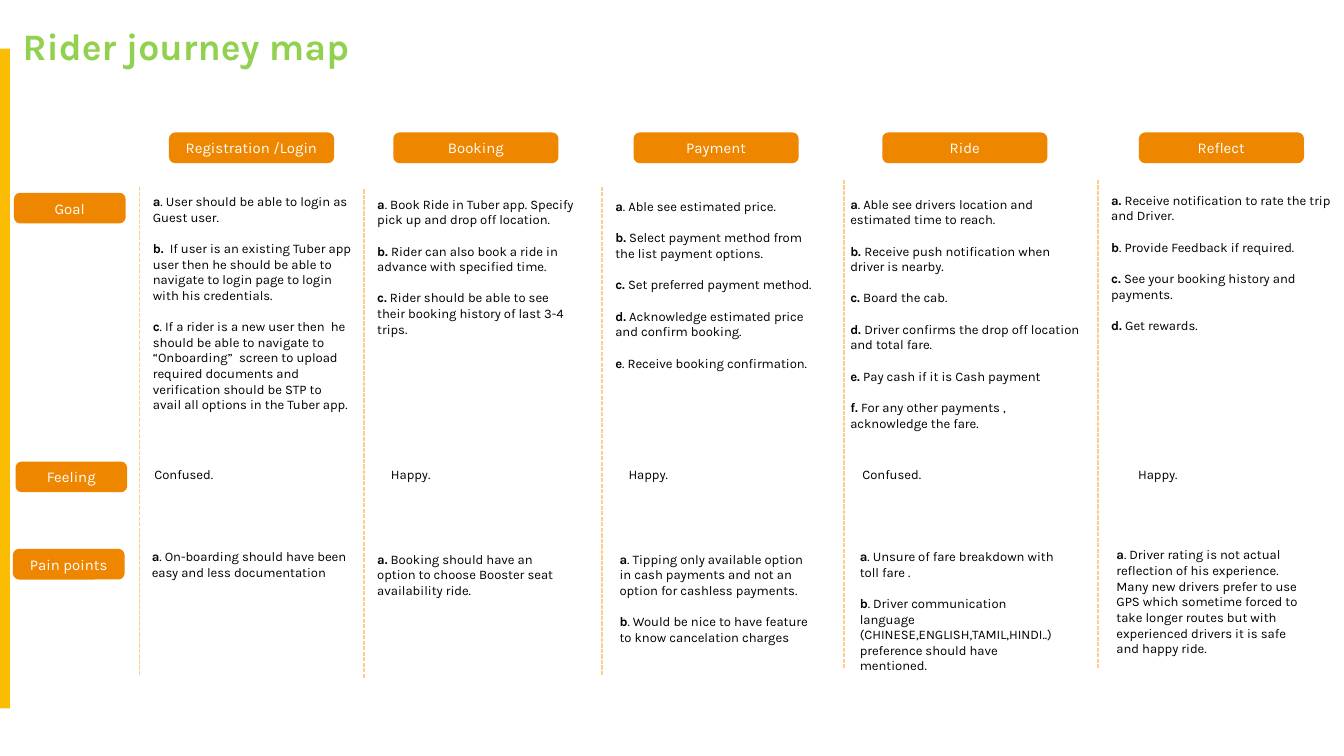
"""Build the rider journey map slide."""
from lxml import etree
from pptx import Presentation
from pptx.dml.color import RGBColor
from pptx.enum.dml import MSO_LINE
from pptx.enum.shapes import MSO_CONNECTOR, MSO_SHAPE
from pptx.enum.text import MSO_ANCHOR, MSO_AUTO_SIZE, PP_ALIGN
from pptx.oxml.ns import qn
from pptx.util import Cm, Pt

RECTANGLE = MSO_SHAPE.RECTANGLE
ROUNDED = MSO_SHAPE.ROUNDED_RECTANGLE
STRAIGHT = MSO_CONNECTOR.STRAIGHT
DASHED = MSO_LINE.SQUARE_DOT
MIDDLE = MSO_ANCHOR.MIDDLE
CENTER = PP_ALIGN.CENTER
GROW = MSO_AUTO_SIZE.SHAPE_TO_FIT_TEXT

WHITE = RGBColor(0xFF, 0xFF, 0xFF)
BLACK = RGBColor(0x00, 0x00, 0x00)
GREEN = RGBColor(0x92, 0xD0, 0x50)
YELLOW = RGBColor(0xFB, 0xBC, 0x04)
ORANGE = RGBColor(0xEF, 0x86, 0x00)
PEACH = RGBColor(0xFF, 0xCD, 0x8C)

STAGES = [
    ("Registration /Login", 3.23),
    ("Booking", 7.47),
    ("Payment", 12.01),
    ("Ride", 16.71),
    ("Reflect", 21.56),
]
ASPECTS = [("Goal", 0.3, 3.68), ("Feeling", 0.33, 8.76), ("Pain points", 0.28, 10.41)]
DIVIDERS = [(2.64, 3.53), (6.88, 3.58), (11.38, 3.53), (15.95, 3.4), (20.75, 3.4)]

GOALS = [
    ((2.64, 3.53, 4.25, 4.75), [
        "a|. User should be able to login as Guest user.",
        "b.|  If user is an existing Tuber app user then he should be able to "
        "navigate to login page to login with his credentials.",
        "c|. If a rider is a new user then  he should be able to navigate to "
        "“Onboarding”  screen to upload required documents and verification "
        "should be STP to avail all options in the Tuber app.",
    ]),
    ((6.88, 3.58, 4.22, 2.64), [
        "a|. Book Ride in Tuber app. Specify pick up and drop off location.",
        "b.| Rider can also book a ride in advance with specified time.",
        "c.| Rider should be able to see their booking history of last 3-4 trips.",
    ]),
    ((11.38, 3.63, 4.32, 3.56), [
        "a|. Able see estimated price.",
        "b.| Select payment method from the list payment options.",
        "c.| Set preferred payment method.",
        "d.| Acknowledge estimated price and confirm booking.",
        "e|. Receive booking confirmation.",
    ]),
    ((15.82, 3.58, 4.83, 5.05), [
        "a|. Able see drivers location and estimated time to reach.",
        "b. |Receive push notification when driver is nearby.",
        "c. |Board the cab.",
        "d. |Driver confirms the drop off location and total fare.",
        "e. |Pay cash if it is Cash payment",
        "f. |For any other payments , acknowledge the fare.",
    ]),
    ((20.75, 3.51, 4.7, 2.95), [
        "a.| Receive notification to rate the trip and Driver.",
        "b|. Provide Feedback if required.",
        "c. |See your booking history and payments.",
        "d. |Get rewards.",
    ]),
]
FEELINGS = [
    ((2.67, 8.69, 4.19, 0.56), ["Confused."]),
    ((7.14, 8.69, 4.19, 0.56), ["Happy."]),
    ((11.63, 8.69, 4.19, 0.56), ["Happy."]),
    ((16.05, 8.69, 4.19, 0.56), ["Confused."]),
    ((21.26, 8.69, 4.14, 0.56), ["Happy."]),
]
PAIN_POINTS = [
    ((2.62, 10.24, 4.19, 0.86), [
        "a|. On-boarding should have been easy and less documentation",
    ]),
    ((6.88, 10.29, 4.19, 2.06), [
        "a.| Booking should have an option to choose Booster seat availability ride.",
    ]),
    ((11.46, 10.29, 4.19, 2.06), [
        "a|. Tipping only available option in cash payments and not an option "
        "for cashless payments.",
        "b|. Would be nice to have feature to know cancelation charges",
    ]),
    ((16, 10.24, 4.19, 2.64), [
        "a|. Unsure of fare breakdown with toll fare .",
        "b|. Driver communication language (CHINESE,ENGLISH,TAMIL,HINDI..)",
        "preference should have mentioned.",
    ]),
    ((20.85, 10.21, 4.19, 2.06), [
        "a|. Driver rating is not actual reflection of his experience. Many new "
        "drivers prefer to use GPS which sometime forced to take longer routes "
        "but with experienced drivers it is safe and happy ride.",
    ]),
]


class JourneyMap:
    """Hold the style and the current slide."""

    font = "Karla"
    title_size, label_size, note_size = Pt(20), Pt(8), Pt(7)
    item_gap = Pt(8.4)

    def __init__(self, slide):
        self.shapes = slide.shapes
        background = slide.background.fill
        background.solid()
        background.fore_color.rgb = WHITE

    def style(self, run, size, color, bold=False):
        run.font.name = self.font
        run.font.size = size
        run.font.bold = bold
        run.font.color.rgb = color

    def block(self, kind, left, top, width, height, color):
        block = self.shapes.add_shape(kind, Cm(left), Cm(top), Cm(width), Cm(height))
        block.shadow.inherit = False
        block.fill.solid()
        block.fill.fore_color.rgb = color
        block.line.fill.background()
        return block

    def label(self, text, left, top, width):
        label = self.block(ROUNDED, left, top, width, 0.51, ORANGE)
        label.line.color.rgb = ORANGE
        label.line.width = Pt(2)
        frame = label.text_frame
        frame.text = text
        frame.vertical_anchor = MIDDLE
        frame.paragraphs[0].alignment = CENTER
        self.style(frame.paragraphs[0].runs[0], self.label_size, WHITE)

    def text_frame(self, left, top, width, height):
        box = self.shapes.add_textbox(Cm(left), Cm(top), Cm(width), Cm(height))
        box.text_frame.word_wrap = True
        box.text_frame.auto_size = GROW
        return box.text_frame

    def title(self, text):
        frame = self.text_frame(0.43, 0.18, 8.13, 1.37)
        frame.margin_left = 0
        frame.margin_top = frame.margin_bottom = Cm(0.25)
        frame.text = text
        self.style(frame.paragraphs[0].runs[0], self.title_size, GREEN, True)

    def notes(self, bounds, items):
        frame = self.text_frame(*bounds)
        frame.text = "\n".join(item.partition("|")[0] for item in items)
        for index, (paragraph, item) in enumerate(zip(frame.paragraphs, items)):
            _, lettered, sentence = item.partition("|")
            self.style(paragraph.runs[0], self.note_size, BLACK, bool(lettered))
            if lettered:
                run = paragraph.add_run()
                run.text = sentence
                self.style(run, self.note_size, BLACK)
                if index:
                    paragraph.space_before = self.item_gap

    def divider(self, left, top):
        divider = self.shapes.add_connector(
            STRAIGHT, Cm(left), Cm(top), Cm(left), Cm(top + 9.25))
        divider.line.color.rgb = PEACH
        divider.line.width = Pt(0.75)
        divider.line.dash_style = DASHED
        etree.SubElement(divider.element.spPr, qn("a:effectLst"))


def main():
    deck = Presentation()
    deck.slide_width, deck.slide_height = Cm(25.4), Cm(14.29)
    journey = JourneyMap(deck.slides.add_slide(deck.slide_layouts[6]))
    journey.block(RECTANGLE, 0, 0.92, 0.19, 12.47, YELLOW)
    journey.title("Rider journey map")
    for stage, left in STAGES:
        journey.label(stage, left, 2.54, 3.05)
    for aspect, left, top in ASPECTS:
        journey.label(aspect, left, top, 2.04)
    for left, top in DIVIDERS:
        journey.divider(left, top)
    for bounds, items in GOALS + FEELINGS + PAIN_POINTS:
        journey.notes(bounds, items)
    deck.save("out.pptx")


if __name__ == "__main__":
    main()
